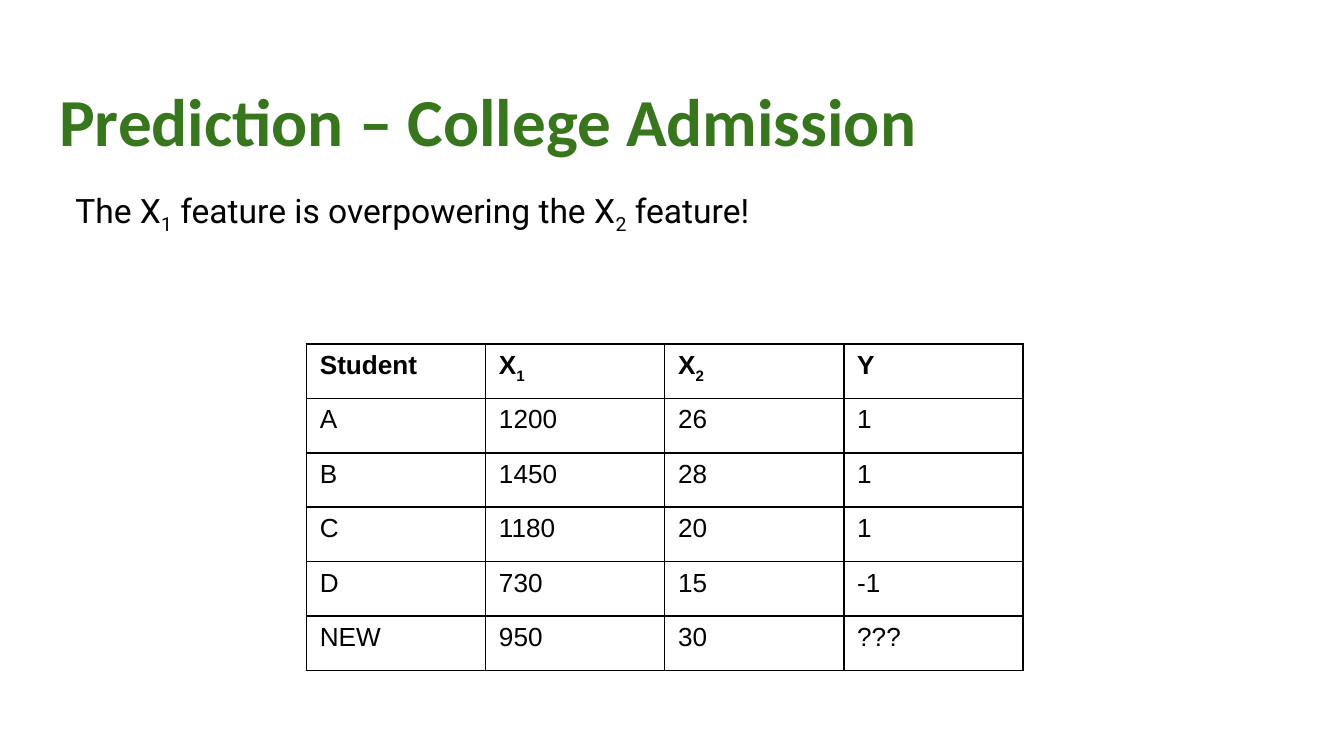
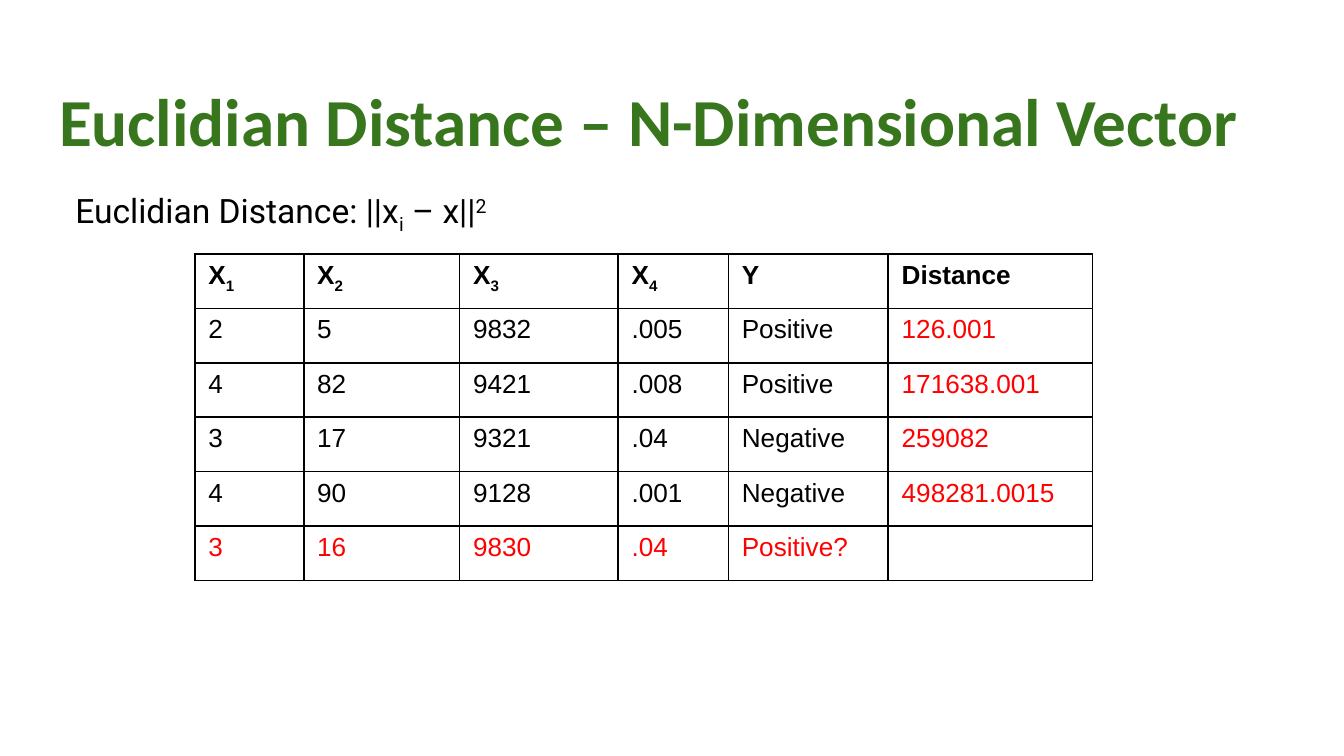
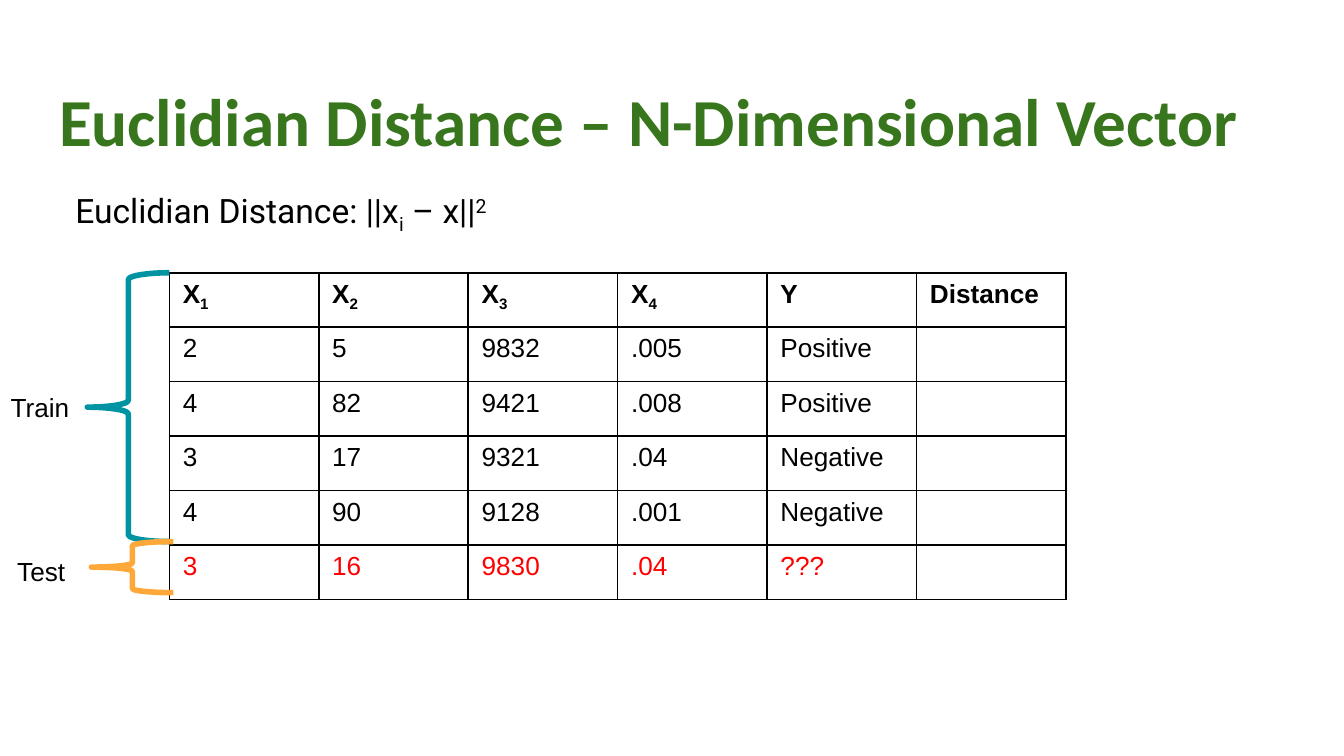
"""Build three slides on nearest-neighbour prediction and Euclidian distance."""
from dataclasses import dataclass
from typing import Optional

from lxml.etree import SubElement
from pptx import Presentation
from pptx.dml.color import RGBColor
from pptx.enum.shapes import MSO_SHAPE as Preset
from pptx.enum.text import MSO_ANCHOR as Anchor
from pptx.enum.text import MSO_AUTO_SIZE as AutoSize
from pptx.enum.text import PP_ALIGN as Align
from pptx.oxml.ns import qn
from pptx.util import Emu, Inches, Pt


@dataclass(frozen=True)
class TextStyle:
    font: str
    size: int
    color: str
    bold: bool = False


@dataclass(frozen=True)
class Theme:
    paper: str = "FFFFFF"
    highlight: str = "FF0000"
    train: str = "0094A3"
    test: str = "FEA83A"
    border: str = "000000"
    border_width: int = 1
    brace_width: int = 3
    title: TextStyle = TextStyle("Calibri", 36, "38761D", True)
    body: TextStyle = TextStyle("Roboto", 18, "000000")
    label: TextStyle = TextStyle("Arial", 14, "000000")
    header: TextStyle = TextStyle("Arial", 14, "000000", True)
    answer: TextStyle = TextStyle("Arial", 14, "FF0000")


@dataclass(frozen=True)
class Box:
    """A place on the grid, in grid units."""
    left: float
    top: float
    width: float
    height: float

    def lengths(self) -> tuple[Emu, Emu, Emu, Emu]:
        """Return the place as slide lengths."""
        return (grid(self.left), grid(self.top), grid(self.width), grid(self.height))


@dataclass(frozen=True)
class DataTable:
    left: float
    top: float
    columns: tuple[float, ...]
    rows: tuple[tuple[str, ...], ...]
    fill: Optional[str] = None
    has_answers: bool = False


@dataclass(frozen=True)
class RowGroup:
    """A labelled brace that spans some table rows."""
    caption: str
    caption_box: Box
    brace_box: Box
    color: str


@dataclass(frozen=True)
class Lesson:
    title: str
    statement: str
    table: DataTable
    groups: tuple[RowGroup, ...] = ()


THEME = Theme()
SLIDE_WIDTH, SLIDE_HEIGHT = Inches(10), Inches(5.625)
GRID_COLUMNS = 100
ROW_HEIGHT = 4.05
TITLE_BOX = Box(3.4, 4.9, 93.2, 6.3)
BODY_BOX = Box(3.4, 12.6, 93.2, 37.4)
BODY_INDENT = 1.2
INSET = 1
BASELINES = {"_": -25000, "^": 30000}

DISTANCE_TITLE = "Euclidian Distance – N-Dimensional Vector"
DISTANCE_FORMULA = "Euclidian Distance: ||x_i – x||^2"
ADMISSIONS = (
    ("Student", "X_1", "X_2", "Y"),
    ("A", "1200", "26", "1"),
    ("B", "1450", "28", "1"),
    ("C", "1180", "20", "1"),
    ("D", "730", "15", "-1"),
    ("NEW", "950", "30", "???"),
)
FEATURES = ("X_1", "X_2", "X_3", "X_4", "Y", "Distance")
TRAINING = (
    ("2", "5", "9832", ".005", "Positive"),
    ("4", "82", "9421", ".008", "Positive"),
    ("3", "17", "9321", ".04", "Negative"),
    ("4", "90", "9128", ".001", "Negative"),
)
TEST_SAMPLE = ("3", "16", "9830", ".04")
DISTANCES = ("126.001", "171638.001", "259082", "498281.0015")


def grid(units: float) -> Emu:
    """Convert grid units to a slide length."""
    return Emu(round(SLIDE_WIDTH * units / GRID_COLUMNS))


def distance_rows(prediction: str, distances: tuple[str, ...]) -> tuple:
    """Join features, training samples, distances and the test sample."""
    samples = tuple(row + (gap,) for row, gap in zip(TRAINING, distances))
    return (FEATURES,) + samples + (TEST_SAMPLE + (prediction, ""),)


def split_scripts(text: str) -> list[tuple[str, int]]:
    """Split text at _ and ^, which lower or raise the next character."""
    pieces, plain, position = [], "", 0
    while position < len(text):
        if text[position] in BASELINES:
            pieces += [(plain, 0), (text[position + 1], BASELINES[text[position]])]
            plain, position = "", position + 2
        else:
            plain, position = plain + text[position], position + 1
    return [piece for piece in pieces + [(plain, 0)] if piece[0]]


def write(paragraph, text: str, style: TextStyle) -> None:
    """Write styled text with its subscripts and superscripts."""
    for piece, baseline in split_scripts(text):
        run = paragraph.add_run()
        run.text = piece
        font = run.font
        font.name, font.size, font.bold = style.font, Pt(style.size), style.bold
        font.color.rgb = RGBColor.from_string(style.color)
        if baseline:
            run._r.get_or_add_rPr().set("baseline", str(baseline))


def fill_placeholder(placeholder, box: Box, text: str, style: TextStyle):
    """Place a placeholder, write its text and return the paragraph."""
    placeholder.left, placeholder.top, placeholder.width, placeholder.height = box.lengths()
    frame = placeholder.text_frame
    frame.auto_size, frame.vertical_anchor = AutoSize.NONE, Anchor.TOP
    frame.margin_left = frame.margin_right = grid(INSET)
    frame.margin_top = frame.margin_bottom = grid(INSET)
    frame.word_wrap = True
    paragraph = frame.paragraphs[0]
    paragraph.alignment = Align.LEFT
    write(paragraph, text, style)
    return paragraph


def add_statement(placeholder, text: str) -> None:
    """Write the body statement without a bullet."""
    paragraph = fill_placeholder(placeholder, BODY_BOX, text, THEME.body)
    paragraph.line_spacing, paragraph.space_before = 1.15, Pt(0)
    properties = paragraph._p.get_or_add_pPr()
    properties.set("marL", str(grid(BODY_INDENT)))
    properties.set("indent", "0")
    SubElement(properties, qn("a:buNone"))


def add_borders(cell) -> None:
    """Draw a thin line on each side of a cell."""
    properties = cell._tc.get_or_add_tcPr()
    for side in ("lnL", "lnR", "lnT", "lnB"):
        line = SubElement(properties, qn(f"a:{side}"), w=str(Pt(THEME.border_width)))
        SubElement(SubElement(line, qn("a:solidFill")), qn("a:srgbClr"), val=THEME.border)


def cell_style(data: DataTable, row: int, column: int) -> TextStyle:
    """Choose the header, answer or plain style for a cell."""
    if row == 0:
        return THEME.header
    is_answer = row == len(data.rows) - 1 or column == len(data.columns) - 1
    return THEME.answer if data.has_answers and is_answer else THEME.label


def add_data_table(slide, data: DataTable) -> None:
    """Draw a bordered table of samples."""
    box = Box(data.left, data.top, sum(data.columns), ROW_HEIGHT * len(data.rows))
    table = slide.shapes.add_table(len(data.rows), len(data.columns), *box.lengths()).table
    table.first_row = table.horz_banding = False
    for column, width in zip(table.columns, data.columns):
        column.width = grid(width)
    for row, values in enumerate(data.rows):
        table.rows[row].height = grid(ROW_HEIGHT)
        for column, value in enumerate(values):
            cell = table.cell(row, column)
            add_borders(cell)
            if data.fill:
                cell.fill.solid()
                cell.fill.fore_color.rgb = RGBColor.from_string(data.fill)
            else:
                cell.fill.background()
            write(cell.text_frame.paragraphs[0], value, cell_style(data, row, column))


def add_row_group(slide, group: RowGroup) -> None:
    """Draw a brace and its caption."""
    brace = slide.shapes.add_shape(Preset.LEFT_BRACE, *group.brace_box.lengths())
    brace.shadow.inherit = False
    brace.fill.background()
    brace.line.color.rgb = RGBColor.from_string(group.color)
    brace.line.width = Pt(THEME.brace_width)
    frame = slide.shapes.add_textbox(*group.caption_box.lengths()).text_frame
    frame.word_wrap, frame.auto_size = False, AutoSize.SHAPE_TO_FIT_TEXT
    write(frame.paragraphs[0], group.caption, THEME.label)


def add_lesson(deck, lesson: Lesson) -> None:
    """Add one slide with its title, statement, table and row groups."""
    slide = deck.slides.add_slide(deck.slide_layouts[1])
    fill_placeholder(slide.shapes.title, TITLE_BOX, lesson.title, THEME.title)
    add_statement(slide.placeholders[1], lesson.statement)
    add_data_table(slide, lesson.table)
    for group in lesson.groups:
        add_row_group(slide, group)


LESSONS = (
    Lesson(
        "Prediction – College Admission",
        "The X_1 feature is overpowering the X_2 feature!",
        DataTable(22.8, 25.6, (13.33,) * 4, ADMISSIONS),
    ),
    Lesson(
        DISTANCE_TITLE,
        DISTANCE_FORMULA,
        DataTable(14.5, 18.9, (8.1, 11.6, 11.8, 8.2, 11.9, 15.2),
                  distance_rows("Positive?", DISTANCES), THEME.paper, True),
    ),
    Lesson(
        DISTANCE_TITLE,
        DISTANCE_FORMULA,
        DataTable(12.6, 20.3, (11.12,) * 6,
                  distance_rows("???", ("",) * len(TRAINING)), THEME.paper, True),
        (
            RowGroup("Train", Box(-0.2, 28.6, 6.5, 3.4), Box(6.5, 20.3, 6.1, 20), THEME.train),
            RowGroup("Test", Box(0.3, 40.8, 5.8, 3.4), Box(6.8, 40.3, 6.1, 3.8), THEME.test),
        ),
    ),
)


def main() -> None:
    """Build and save the deck."""
    deck = Presentation()
    deck.slide_width, deck.slide_height = SLIDE_WIDTH, SLIDE_HEIGHT
    for lesson in LESSONS:
        add_lesson(deck, lesson)
    deck.save("out.pptx")


if __name__ == "__main__":
    main()
